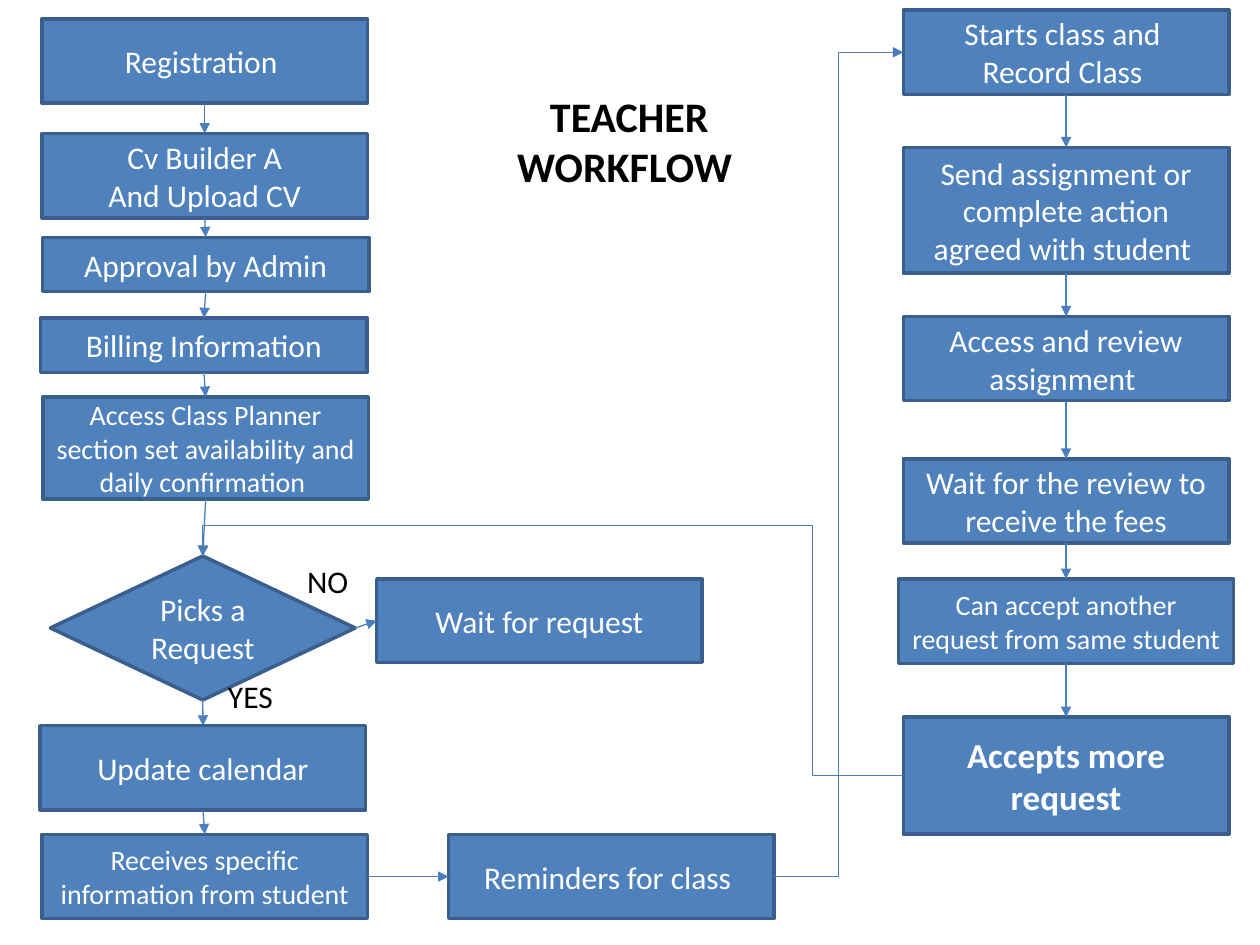
from lxml import etree
from pptx import Presentation
from pptx.dml.color import RGBColor
from pptx.enum.shapes import MSO_CONNECTOR, MSO_SHAPE
from pptx.enum.text import MSO_ANCHOR, MSO_AUTO_SIZE, PP_ALIGN
from pptx.oxml.ns import qn
from pptx.util import Pt

RECT, DIAMOND = MSO_SHAPE.RECTANGLE, MSO_SHAPE.DIAMOND
STRAIGHT, ELBOW = MSO_CONNECTOR.STRAIGHT, MSO_CONNECTOR.ELBOW
CENTER, LEFT, MIDDLE = PP_ALIGN.CENTER, PP_ALIGN.LEFT, MSO_ANCHOR.MIDDLE
GROW = MSO_AUTO_SIZE.SHAPE_TO_FIT_TEXT
TOP_SITE, LEFT_SITE, BOTTOM_SITE, RIGHT_SITE = range(4)

COLORS = {"box": "4F81BD", "border": "3A5F8C", "arrow": "4B7EBC",
          "light": "FFFFFF", "dark": "000000"}
BOX_W, BOX_H, BAR_H = 186, 48.2, 31
RIGHT_X = 516.2


class Flowchart:
    font = "Calibri"

    def __init__(self, slide):
        self.shapes = slide.shapes

    def color(self, key):
        return RGBColor.from_string(COLORS[key])

    def set_text(self, shape, text, size, color, align, bold):
        frame = shape.text_frame
        frame.word_wrap = True
        frame.text = text
        for paragraph in frame.paragraphs:
            paragraph.alignment = align
            for run in paragraph.runs:
                run.font.name = self.font
                run.font.size = Pt(size)
                run.font.bold = bold
                run.font.color.rgb = self.color(color)

    def step(self, text, x, y, w=BOX_W, h=BOX_H, size=18, bold=False, kind=RECT):
        shape = self.shapes.add_shape(kind, Pt(x), Pt(y), Pt(w), Pt(h))
        shape.shadow.inherit = False
        shape.fill.solid()
        shape.fill.fore_color.rgb = self.color("box")
        shape.line.color.rgb = self.color("border")
        shape.line.width = Pt(2)
        shape.text_frame.vertical_anchor = MIDDLE
        self.set_text(shape, text, size, "light", CENTER, bold)
        return shape

    def label(self, text, x, y, w, h, size=18, align=LEFT, bold=False):
        box = self.shapes.add_textbox(Pt(x), Pt(y), Pt(w), Pt(h))
        self.set_text(box, text, size, "dark", align, bold)
        box.text_frame.auto_size = GROW

    def arrow(self, start, end, start_site=BOTTOM_SITE, end_site=TOP_SITE, kind=STRAIGHT):
        connector = self.shapes.add_connector(kind, 0, 0, 0, 0)
        connector.begin_connect(start, start_site)
        connector.end_connect(end, end_site)
        connector.line.color.rgb = self.color("arrow")
        connector.line.width = Pt(0.75)
        properties = connector._element.spPr
        etree.SubElement(properties.find(qn("a:ln")), qn("a:tailEnd"), type="triangle")
        etree.SubElement(properties, qn("a:effectLst"))
        return connector

    def loop_back(self, start, end, adjustments):
        """Leave leftwards, run above the end shape and come down on its top."""
        connector = self.arrow(start, end, LEFT_SITE, TOP_SITE, ELBOW)
        properties = connector._element.spPr
        transform = properties.find(qn("a:xfrm"))
        for flip in ("flipH", "flipV"):
            transform.attrib.pop(flip, None)
        transform.set("rot", str(180 * 60000))
        geometry = properties.find(qn("a:prstGeom"))
        geometry.set("prst", "bentConnector4")
        guides = geometry.find(qn("a:avLst"))
        for number, share in enumerate(adjustments, 1):
            etree.SubElement(guides, qn("a:gd"), name=f"adj{number}",
                             fmla=f"val {round(share * 100000)}")


def main():
    prs = Presentation()
    prs.slide_width, prs.slide_height = Pt(720), Pt(540)
    chart = Flowchart(prs.slides.add_slide(prs.slide_layouts[6]))

    onboarding = [
        chart.step("Registration ", 24, 10.8),
        chart.step("Cv Builder A\nAnd Upload CV", 24, 76.3),
        chart.step("Approval by Admin", 24.2, 135.6, 186.7, BAR_H),
        chart.step("Billing Information", 23.2, 181.8, 186.7, BAR_H),
        chart.step("Access Class Planner section set availability and daily confirmation ",
                   24.5, 226.8, h=58.3, size=16),
        chart.step("Picks a Request", 28.8, 317.7, 174.2, 82.3, kind=DIAMOND),
        chart.step("Update calendar", 23, 414.7),
        chart.step("Receives specific information from student", 24, 476.8, size=16),
    ]
    teaching = [
        chart.step("Starts class and \nRecord Class ", RIGHT_X, 5.8),
        chart.step("Send assignment or complete action agreed with student ",
                   RIGHT_X, 84.2, h=72),
        chart.step("Access and review assignment ", RIGHT_X, 180.8),
        chart.step("Wait for the review to receive the fees", RIGHT_X, 262.2),
        chart.step("Can accept another request from same student",
                   RIGHT_X - 2.8, 330.9, w=BOX_W + 5.6, size=16),
        chart.step("Accepts more request", RIGHT_X, 409.7, h=67, size=20, bold=True),
    ]
    waiting = chart.step("Wait for request", 215.3, 331, h=47.5)
    reminders = chart.step("Reminders for class ", 256.3, 476.8)

    for column in (onboarding, teaching):
        for above, below in zip(column, column[1:]):
            chart.arrow(above, below)

    decision, student_info = onboarding[5], onboarding[-1]
    chart.arrow(decision, waiting, RIGHT_SITE, LEFT_SITE)
    chart.arrow(student_info, reminders, RIGHT_SITE, LEFT_SITE)
    chart.arrow(reminders, teaching[0], RIGHT_SITE, LEFT_SITE, ELBOW)
    chart.loop_back(teaching[-1], decision, (0.13, 1.14))

    chart.label("YES", 123.2, 383.2, 64.8, 29)
    chart.label("NO", 168.5, 317.7, 64.8, 29)
    chart.label("TEACHER\nWORKFLOW ", 255.6, 48.2, 208, 65.5,
                size=24, align=CENTER, bold=True)

    prs.save("out.pptx")


if __name__ == "__main__":
    main()
